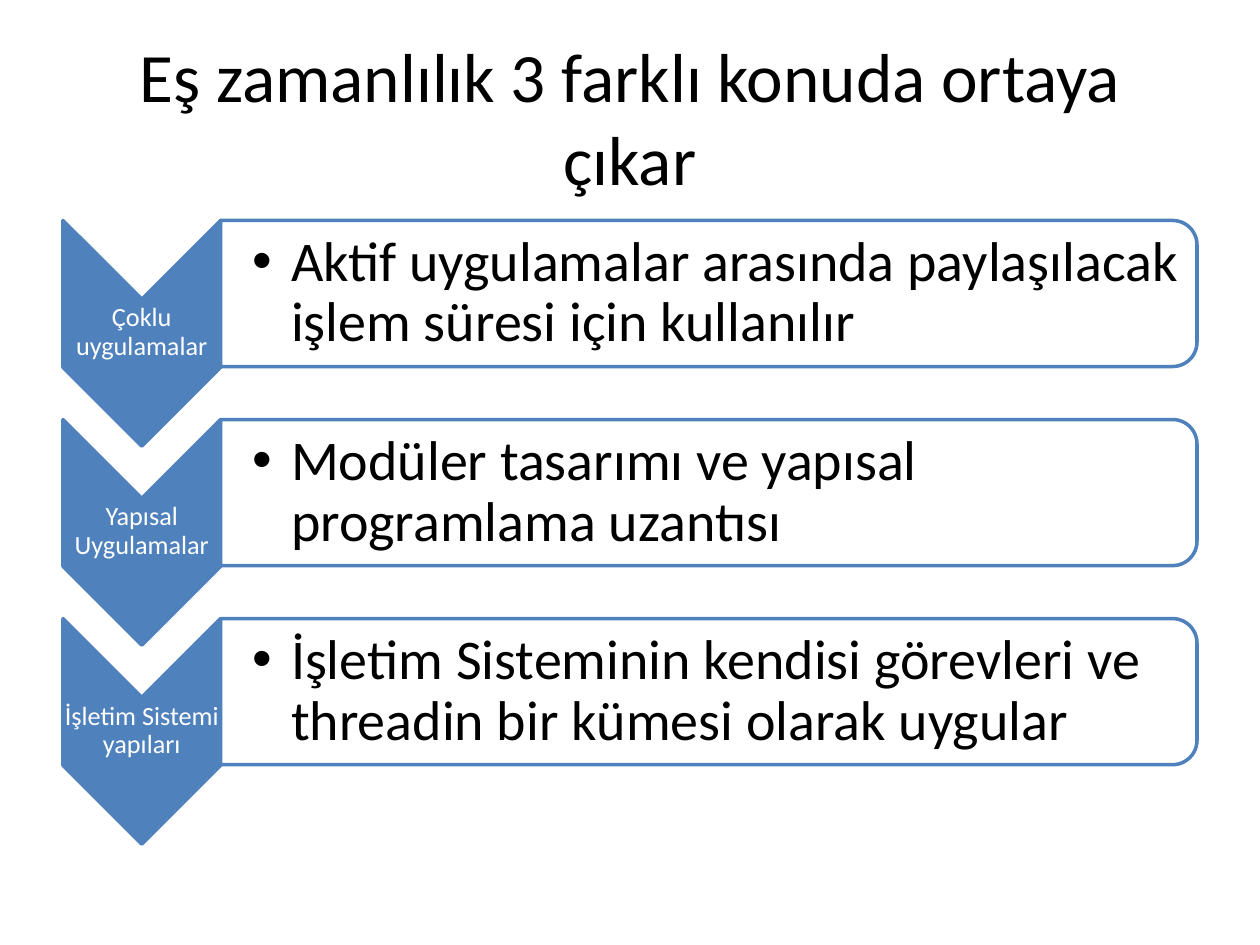
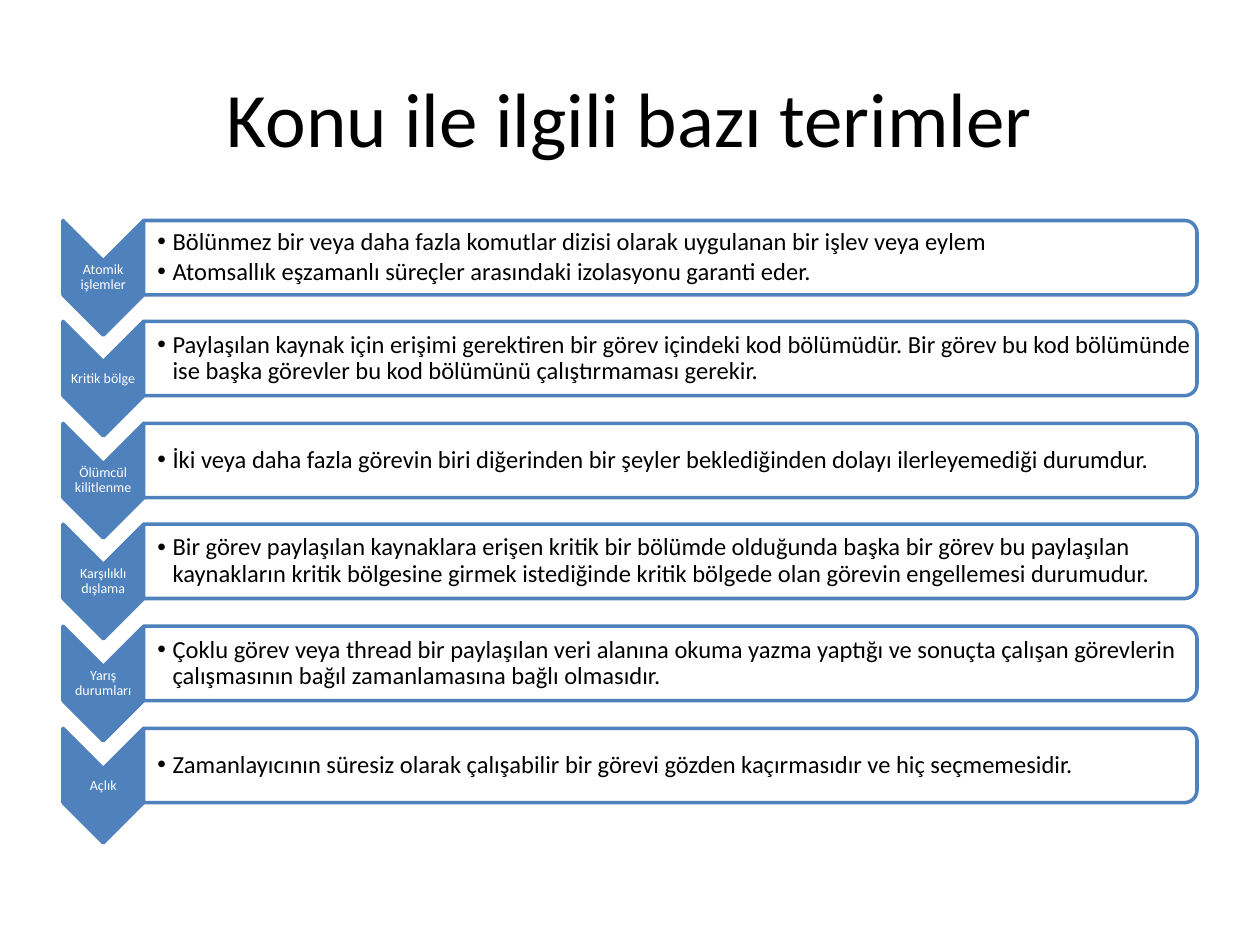
from dataclasses import dataclass

from lxml import etree
from pptx import Presentation
from pptx import util as u
from pptx.dml.color import RGBColor
from pptx.enum import shapes, text
from pptx.oxml import ns

PX = 9144
BLUE = RGBColor(0x4F, 0x81, 0xBD)
WHITE = RGBColor(0xFF, 0xFF, 0xFF)
BLACK = RGBColor(0, 0, 0)
FONT = "Calibri"
LEFT, TOP = 50, 175


@dataclass(frozen=True)
class Area:
    x: int
    y: int
    w: int
    h: int


@dataclass(frozen=True)
class Style:
    size: float
    color: RGBColor
    inset: tuple[int, int, int, int]
    indent: int = 0
    lines: float = 1.0
    after: float = 0.0


@dataclass(frozen=True)
class Row:
    name: str
    points: tuple[str, ...]


@dataclass(frozen=True)
class Page:
    title: str
    size: float
    tip: Area
    box: Area
    trim: int
    span: int
    label: Style
    body: Style
    rows: tuple[Row, ...]


PAGES = (
    Page(
        "Eş zamanlılık 3 farklı konuda ortaya çıkar", 39.6,
        Area(LEFT, TOP, 125, 179), Area(LEFT + 125, TOP, 775, 116), 6, 316,
        Style(15, WHITE, (1, 1, 1, 1), lines=0.9, after=0.35),
        Style(32, BLACK, (25, 2, 2, 2), 31, 0.9, 0.15),
        (
            Row("Çoklu uygulamalar", (
                "Aktif uygulamalar arasında paylaşılacak işlem süresi için kullanılır",)),
            Row("Yapısal Uygulamalar", (
                "Modüler tasarımı ve yapısal programlama uzantısı",)),
            Row("İşletim Sistemi yapıları", (
                "İşletim Sisteminin kendisi görevleri ve threadin bir kümesi olarak uygular",)),
        ),
    ),
    Page(
        "Konu ile ilgili bazı terimler", 44,
        Area(LEFT, TOP, 64, 91), Area(LEFT + 64, TOP, 836, 59), 3, 403,
        Style(8, WHITE, (1, 1, 1, 1), lines=0.9, after=0.35),
        Style(14, BLACK, (11, 1, 1, 1), 12, 0.9, 0.15),
        (
            Row("Atomik işlemler", (
                "Bölünmez bir veya daha fazla komutlar dizisi olarak uygulanan bir işlev veya eylem",
                "Atomsallık eşzamanlı süreçler arasındaki izolasyonu garanti eder.")),
            Row("Kritik bölge", (
                "Paylaşılan kaynak için erişimi gerektiren bir görev içindeki kod bölümüdür. "
                "Bir görev bu kod bölümünde ise başka görevler bu kod bölümünü "
                "çalıştırmaması gerekir.",)),
            Row("Ölümcül kilitlenme", (
                "İki veya daha fazla görevin biri diğerinden bir şeyler beklediğinden dolayı "
                "ilerleyemediği durumdur.",)),
            Row("Karşılıklı dışlama", (
                "Bir görev paylaşılan kaynaklara erişen kritik bir bölümde olduğunda başka "
                "bir görev bu paylaşılan kaynakların kritik bölgesine girmek istediğinde "
                "kritik bölgede olan görevin engellemesi durumudur.",)),
            Row("Yarış durumları", (
                "Çoklu görev veya thread bir paylaşılan veri alanına okuma yazma yaptığı ve "
                "sonuçta çalışan görevlerin çalışmasının bağıl zamanlamasına bağlı olmasıdır.",)),
            Row("Açlık", (
                "Zamanlayıcının süresiz olarak çalışabilir bir görevi gözden kaçırmasıdır ve "
                "hiç seçmemesidir.",)),
        ),
    ),
)


def apply(item, values: dict) -> None:
    for key, value in values.items():
        setattr(item, key, value)


def emu(*sizes: float) -> list[int]:
    return [round(size * PX) for size in sizes]


def add_bullet(para, indent: int) -> None:
    props = para._p.get_or_add_pPr()
    width = indent * PX
    props.set("marL", str(width))
    props.set("indent", str(-width))
    etree.SubElement(props, ns.qn("a:buFont"), typeface="Arial")
    etree.SubElement(props, ns.qn("a:buChar"), char="•")


def add_text(slide, area: Area, lines: tuple[str, ...], style: Style) -> None:
    frame = slide.shapes.add_textbox(*emu(area.x, area.y, area.w, area.h)).text_frame
    sides = ("margin_left", "margin_top", "margin_right", "margin_bottom")
    apply(frame, {
        "word_wrap": True,
        "vertical_anchor": text.MSO_ANCHOR.MIDDLE,
        **dict(zip(sides, emu(*style.inset))),
    })
    for i, line in enumerate(lines):
        para = frame.add_paragraph() if i else frame.paragraphs[0]
        apply(para, {
            "alignment": text.PP_ALIGN.LEFT if style.indent else text.PP_ALIGN.CENTER,
            "level": 1 if style.indent else 0,
            "line_spacing": style.lines,
            "space_after": u.Pt(style.size * style.after),
        })
        if style.indent:
            add_bullet(para, style.indent)
        run = para.add_run()
        run.text = line
        apply(run.font, {"name": FONT, "size": u.Pt(style.size)})
        run.font.color.rgb = style.color


def add_turned(slide, kind, area: Area, fill: RGBColor):
    x = area.x + (area.w - area.h) / 2
    y = area.y + (area.h - area.w) / 2
    shape = slide.shapes.add_shape(kind, *emu(x, y, area.h, area.w))
    shape.rotation = 90
    shape.shadow.inherit = False
    shape.fill.solid()
    shape.fill.fore_color.rgb = fill
    shape.line.color.rgb = BLUE
    shape.line.width = u.Pt(2)
    return shape


def add_row(slide, page: Page, row: Row, shift: int) -> None:
    tip, box, trim = page.tip, page.box, page.trim
    top = tip.y + shift
    add_turned(slide, shapes.MSO_SHAPE.CHEVRON, Area(tip.x, top, tip.w, tip.h), BLUE)
    label = Area(tip.x, top + tip.w // 2, tip.w, tip.h - tip.w)
    add_text(slide, label, (row.name,), page.label)
    add_turned(slide, shapes.MSO_SHAPE.ROUND_2_SAME_RECTANGLE,
               Area(box.x, top, box.w, box.h), WHITE)
    body = Area(box.x, top + trim, box.w - trim, box.h - 2 * trim)
    add_text(slide, body, row.points, page.body)


def add_page(deck, page: Page) -> None:
    slide = deck.slides.add_slide(deck.slide_layouts[6])
    add_text(slide, Area(50, 30, 900, 125), (page.title,),
             Style(page.size, BLACK, (10, 5, 10, 5)))
    for i, row in enumerate(page.rows):
        add_row(slide, page, row, page.span * i // (len(page.rows) - 1))


def main() -> None:
    deck = Presentation()
    apply(deck, {"slide_width": 1000 * PX, "slide_height": 750 * PX})
    for page in PAGES:
        add_page(deck, page)
    deck.save("out.pptx")


if __name__ == "__main__":
    main()
